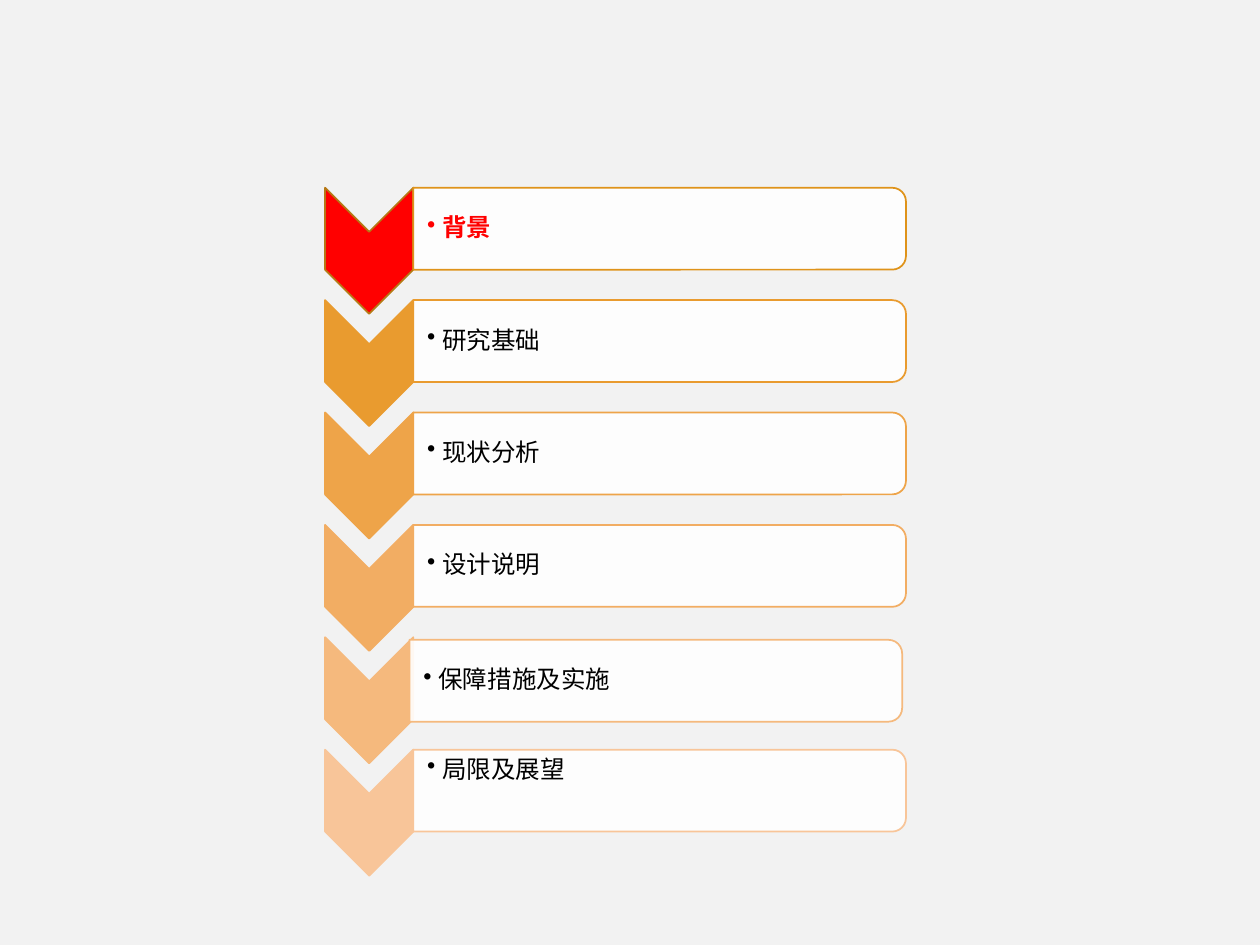
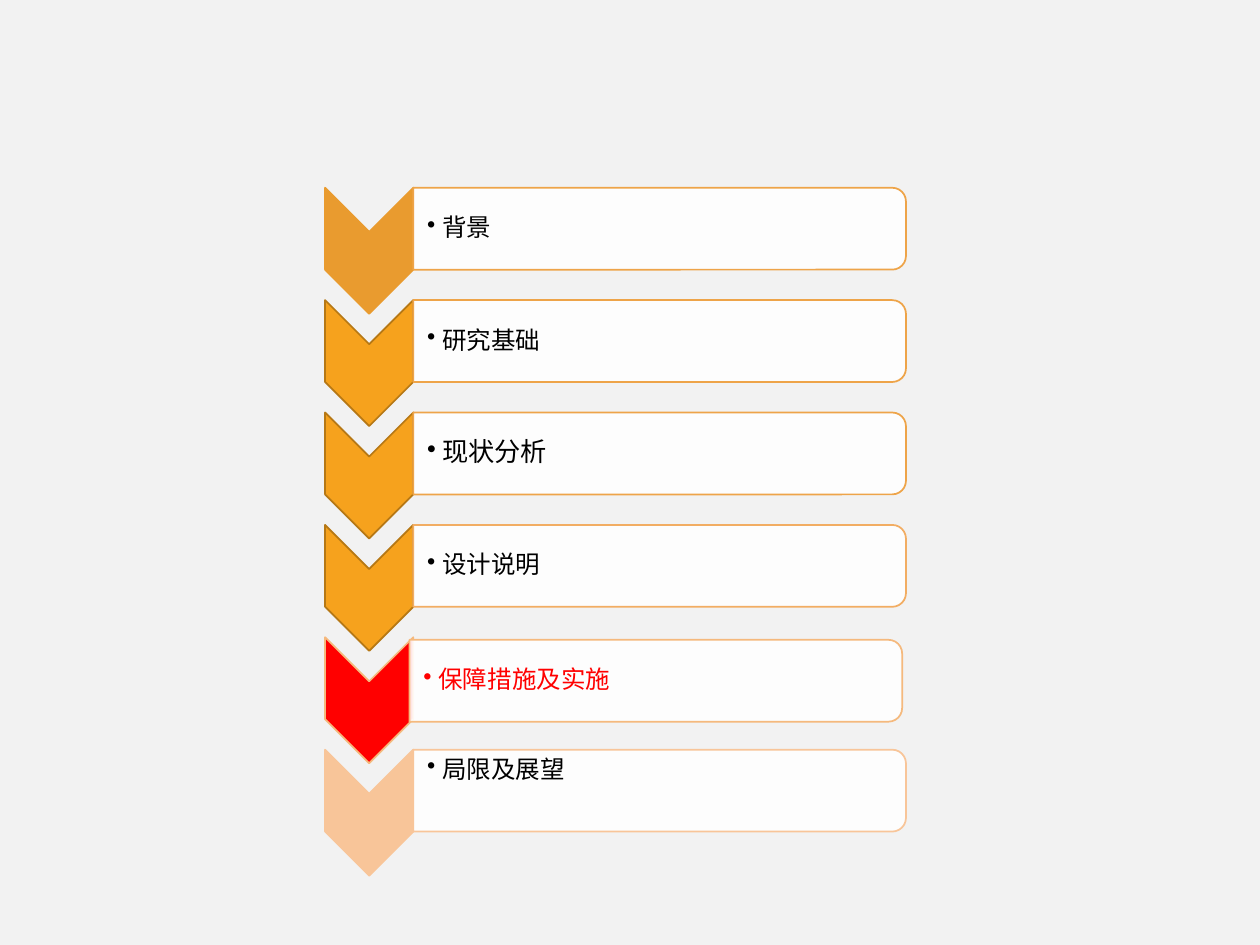
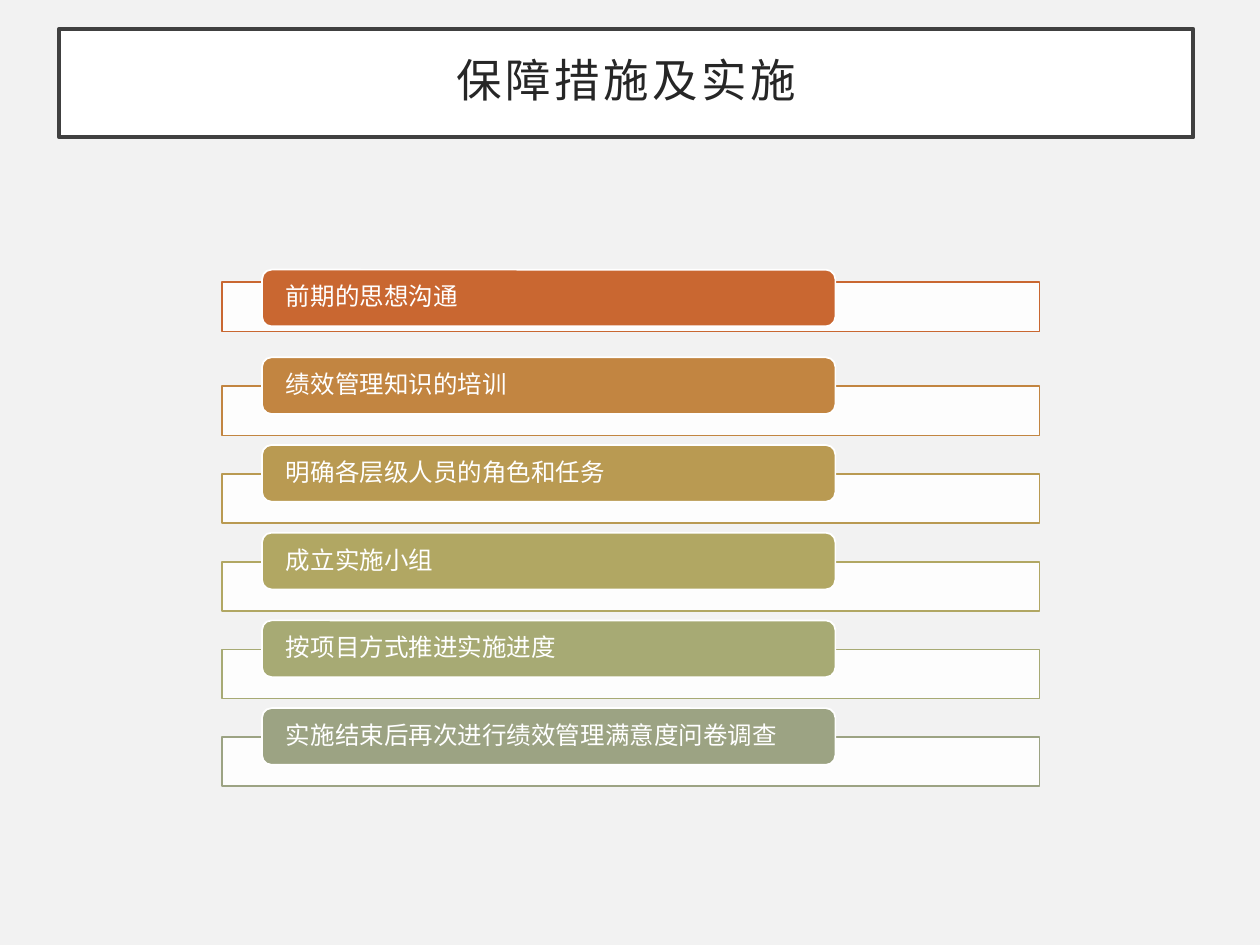
from lxml import etree
from pptx import Presentation
from pptx import util as u
from pptx.dml.color import RGBColor
from pptx.enum import shapes, text
from pptx.oxml.ns import qn

Inches = u.Inches
KIND = shapes.MSO_SHAPE
ANCHOR = text.MSO_ANCHOR

BACKGROUND = "F2F2F2"
WHITE = "FFFFFF"
BLACK = "000000"
RED = "FF0000"
AMBER = "F6A21D"
DARK_AMBER = "B67815"
LATIN = "Calibri"
CJK = "Noto Sans CJK SC"

CHAPTERS = ["背景", "研究基础", "现状分析", "设计说明", "保障措施及实施", "局限及展望"]
CHAPTER_PITCH = (6.1 - 1.64) / 5
SHIFTED_CHAPTER = 4

BACKGROUND_AGENDA = {
    "chevrons": [(RED, DARK_AMBER), ("E99B2F", "E99B2F"), ("EEA449", "EEA449"),
                 ("F2AD63", "F2AD63"), ("F5B97D", "F5B97D"), ("F8C599", "F8C599")],
    "borders": ["DF931A", "E99B2F", "EEA449", "F2AD63", "F5B97D", "F8C599"],
    "active": 0,
    "bold_active": True,
}
MEASURES_AGENDA = {
    "chevrons": [("E99B2F", "E99B2F"), *[(AMBER, DARK_AMBER)] * 3,
                 (RED, "F5B97D"), ("F8C599", "F8C599")],
    "borders": ["EEA449", "EEA449", "EEA449", "F2AD63", "F5B97D", "F8C599"],
    "active": 4,
    "sizes": {2: 15},
}

MEASURES = [
    ("前期的思想沟通", "C96731"),
    ("绩效管理知识的培训", "C28541"),
    ("明确各层级人员的角色和任务", "B99A52"),
    ("成立实施小组", "B1A763"),
    ("按项目方式推进实施进度", "A7AA74"),
    ("实施结束后再次进行绩效管理满意度问卷调查", "9CA383"),
]
MEASURE_PITCH = (5.62 - 2.14) / 5


def rgb(value):
    return RGBColor.from_string(value)


def paint(shape, fill, line, width=1, alpha=None):
    shape.fill.solid()
    shape.fill.fore_color.rgb = rgb(fill)
    shape.line.color.rgb = rgb(line)
    shape.line.width = u.Pt(width)
    if alpha:
        color = shape._element.spPr.find(qn("a:solidFill")).find(qn("a:srgbClr"))
        etree.SubElement(color, qn("a:alpha"), val=str(alpha * 1000))


def add_block(slide, kind, box, fill, line, rotation=0, alpha=None):
    block = slide.shapes.add_shape(kind, *map(Inches, box))
    block.shadow.inherit = False
    block.rotation = rotation
    paint(block, fill, line, alpha=alpha)


def style_paragraph(paragraph, size, color, font=LATIN, bold=None):
    paragraph.line_spacing = 0.9
    paragraph.font.size = u.Pt(size)
    paragraph.font.bold = bold
    paragraph.font.color.rgb = rgb(color)
    paragraph.font.name = font
    etree.SubElement(paragraph.font._element, qn("a:ea"), typeface=CJK)


def set_frame(frame, insets, anchor=ANCHOR.MIDDLE):
    frame.word_wrap = True
    frame.vertical_anchor = anchor
    (frame.margin_left, frame.margin_top,
     frame.margin_right, frame.margin_bottom) = map(Inches, insets)


def add_label(slide, box, wording, insets, size=14, color=WHITE, bold=None,
              anchor=ANCHOR.MIDDLE):
    frame = slide.shapes.add_textbox(*map(Inches, box)).text_frame
    set_frame(frame, insets, anchor)
    paragraph = frame.paragraphs[0]
    paragraph.text = wording
    style_paragraph(paragraph, size, color, bold=bold)
    return paragraph


def add_bullet(paragraph):
    properties = paragraph._p.get_or_add_pPr()
    properties.set("marL", str(Inches(0.12)))
    properties.set("indent", str(Inches(-0.12)))
    bullet = etree.Element(qn("a:buChar"), char="•")
    properties.find(qn("a:defRPr")).addprevious(bullet)


def add_agenda(prs, chevrons, borders, active, bold_active=None, sizes={}):
    slide = prs.slides.add_slide(prs.slide_layouts[6])
    for i, chapter in enumerate(CHAPTERS):
        offset = i * CHAPTER_PITCH
        shift_x, shift_y = (-0.03, 0.02) if i == SHIFTED_CHAPTER else (0, 0)
        is_active = i == active
        is_last = i == len(CHAPTERS) - 1
        add_block(slide, KIND.CHEVRON, (2.43, 1.64 + offset, 1, 0.7),
                  *chevrons[i], rotation=90)
        add_block(slide, KIND.ROUND_2_SAME_RECTANGLE,
                  (4.91 + shift_x, -0.14 + offset + shift_y, 0.65, 3.91),
                  WHITE, borders[i], rotation=90, alpha=90)
        label = add_label(
            slide, (3.28 + shift_x, 1.52 + offset + shift_y, 3.88, 0.59), chapter,
            (0.11, 0.03 if is_last else 0.01, 0.01, 0.01), sizes.get(i, 14),
            RED if is_active else BLACK, bold_active if is_active else None,
            ANCHOR.TOP if is_last else ANCHOR.MIDDLE)
        add_bullet(label)


def add_title(slide, wording):
    title = slide.shapes.title
    title.left, title.top, title.width, title.height = map(Inches, (0.47, 0.23, 9, 0.86))
    paint(title, WHITE, "404040", 2.5)
    set_frame(title.text_frame, (0.2, 0.2, 0.2, 0.2))
    paragraph = title.text_frame.paragraphs[0]
    paragraph.text = wording
    paragraph.alignment = text.PP_ALIGN.CENTER
    style_paragraph(paragraph, 26, "262626", CJK)
    paragraph.font._element.set("spc", "200")


def add_measures(prs):
    slide = prs.slides.add_slide(prs.slide_layouts[5])
    add_title(slide, CHAPTERS[4])
    for i, (measure, color) in enumerate(MEASURES):
        top = 2.14 + i * MEASURE_PITCH
        drop = 0.23 if i else 0.1
        add_block(slide, KIND.RECTANGLE, (1.76, top + drop, 6.49, 0.39),
                  WHITE, color, alpha=90)
        add_block(slide, KIND.ROUNDED_RECTANGLE, (2.08, top, 4.55, 0.45), color, WHITE)
        add_label(slide, (2.1, top + 0.02, 4.5, 0.41), measure, (0.17, 0, 0.17, 0))


def main():
    prs = Presentation()
    prs.slide_width, prs.slide_height = Inches(10), Inches(7.5)
    backdrop = prs.slide_master.background.fill
    backdrop.solid()
    backdrop.fore_color.rgb = rgb(BACKGROUND)
    add_agenda(prs, **BACKGROUND_AGENDA)
    add_agenda(prs, **MEASURES_AGENDA)
    add_measures(prs)
    prs.save("out.pptx")


if __name__ == "__main__":
    main()
